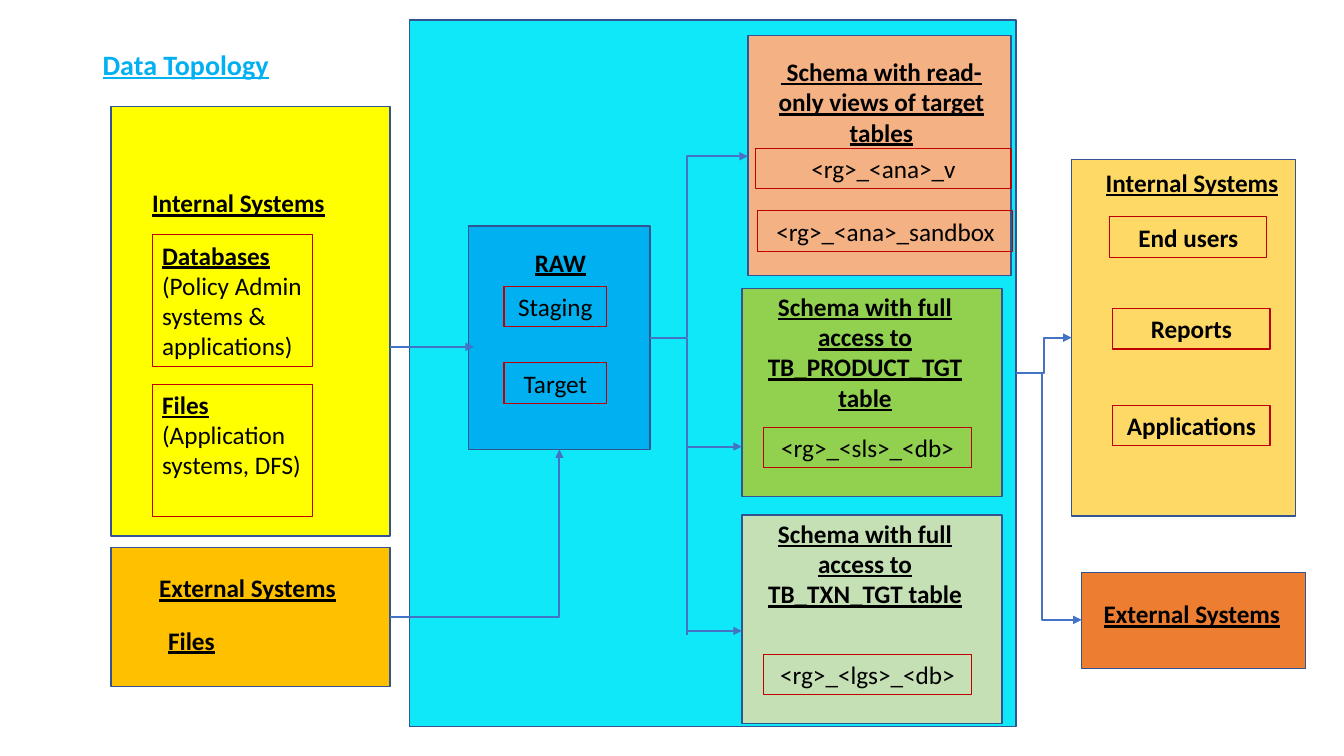
from lxml.etree import SubElement
from pptx import Presentation
from pptx.dml.color import RGBColor
from pptx.enum.shapes import MSO_CONNECTOR, MSO_SHAPE
from pptx.enum.text import MSO_ANCHOR, PP_ALIGN
from pptx.oxml.ns import qn
from pptx.util import Pt

YELLOW = RGBColor(0xFF, 0xFF, 0x00)
AMBER = RGBColor(0xFF, 0xC0, 0x00)
CYAN = RGBColor(0x0F, 0xE8, 0xF9)
BLUE = RGBColor(0x00, 0xB0, 0xF0)
PEACH = RGBColor(0xF4, 0xB1, 0x83)
GREEN = RGBColor(0x92, 0xD0, 0x50)
PALE_GREEN = RGBColor(0xC5, 0xE0, 0xB4)
GOLD = RGBColor(0xFF, 0xD9, 0x66)
ORANGE = RGBColor(0xED, 0x7D, 0x31)
NAVY = RGBColor(0x32, 0x54, 0x91)
RED = RGBColor(0xC0, 0x00, 0x00)
ARROW_BLUE = RGBColor(0x44, 0x72, 0xC4)
BLACK = RGBColor(0x00, 0x00, 0x00)

ROW_HEIGHT = 29
HEADING_WIDTH = 154


def add_text(paragraph, text, bold=False, underline=False, size=18, color=BLACK):
    """Add one formatted run to a paragraph."""
    run = paragraph.add_run()
    run.text = text
    run.font.name = "Calibri"
    run.font.size = Pt(size)
    run.font.bold = bold
    run.font.underline = underline
    run.font.color.rgb = color


def add_box(slide, left, top, width, height, fill=None, line=NAVY, weight=1):
    """Draw a rectangle, hollow when no fill is given."""
    shape = slide.shapes.add_shape(
        MSO_SHAPE.RECTANGLE, Pt(left), Pt(top), Pt(width), Pt(height))
    shape.shadow.inherit = False
    if fill is None:
        shape.fill.background()
    else:
        shape.fill.solid()
        shape.fill.fore_color.rgb = fill
    shape.line.color.rgb = line
    shape.line.width = Pt(weight)
    return shape


def add_tag(slide, left, top, width, text, bold=False):
    """Draw a red outlined label with one centred line."""
    shape = add_box(slide, left, top, width, ROW_HEIGHT, line=RED, weight=0.75)
    shape.text_frame.word_wrap = True
    paragraph = shape.text_frame.paragraphs[0]
    paragraph.alignment = PP_ALIGN.CENTER
    add_text(paragraph, text, bold)


def add_heading(slide, left, top, width, text, height=ROW_HEIGHT, align=PP_ALIGN.LEFT):
    """Write a bold underlined heading."""
    frame = slide.shapes.add_textbox(
        Pt(left), Pt(top), Pt(width), Pt(height)).text_frame
    frame.word_wrap = True
    paragraph = frame.paragraphs[0]
    paragraph.alignment = align
    add_text(paragraph, text, bold=True, underline=True)


def add_title(slide, left, top, width, height):
    """Write the slide title."""
    frame = slide.shapes.add_textbox(
        Pt(left), Pt(top), Pt(width), Pt(height)).text_frame
    frame.word_wrap = True
    frame.vertical_anchor = MSO_ANCHOR.MIDDLE
    paragraph = frame.paragraphs[0]
    paragraph.line_spacing = 0.9
    add_text(paragraph, "Data Topology", True, True, 20, BLUE)


def add_internal_sources(slide, left, top, width, height):
    """Draw the internal source systems with their two details."""
    add_box(slide, left, top, width, height, YELLOW)
    add_heading(slide, left + 22.3, top + 54, HEADING_WIDTH, "Internal Systems")
    details = [("Databases", "(Policy Admin systems & applications)"),
               ("Files", "(Application systems, DFS)")]
    for index, (name, note) in enumerate(details):
        shape = add_box(slide, left + 29.5, top + 91.5 + index * 106.5,
                        114.5, 94.3, line=RED, weight=0.75)
        frame = shape.text_frame
        frame.word_wrap = True
        frame.vertical_anchor = MSO_ANCHOR.TOP
        add_text(frame.paragraphs[0], name, bold=True, underline=True)
        add_text(frame.add_paragraph(), note)
        for paragraph in frame.paragraphs:
            paragraph.alignment = PP_ALIGN.LEFT


def add_external_sources(slide, left, top, width, height):
    """Draw the external source systems."""
    add_box(slide, left, top, width, height, AMBER)
    add_heading(slide, left + 27.4, top + 14.4, HEADING_WIDTH, "External Systems")
    add_heading(slide, left + 33.8, top + 51.8, 114.5, "Files")


def add_raw_area(slide, left, top, width, height):
    """Draw the raw area with its staging and target labels."""
    add_box(slide, left, top, width, height, BLUE)
    add_heading(slide, left + 25.2, top + 11.5, 80.6, "RAW", align=PP_ALIGN.CENTER)
    for index, text in enumerate(["Staging", "Target"]):
        add_tag(slide, left + 25.2, top + 43.2 + index * 54.7, 73.4, text)


def add_read_only_schema(slide, left, top, width, height):
    """Draw the schema that holds the read-only views."""
    add_box(slide, left, top, width, height, PEACH)
    add_heading(slide, left + 10.8, top + 11.5, 169.2,
                " Schema with read-only views of target tables",
                72.7, PP_ALIGN.CENTER)
    add_tag(slide, left + 5.8, top + 80.6, 182.2, "<rg>_<ana>_v")
    add_tag(slide, left + 7.2, top + 125.3, 182.2, "<rg>_<ana>_sandbox")


def add_full_schema(slide, left, top, width, height, fill, text, database):
    """Draw a full access schema with its database label."""
    add_box(slide, left, top, width, height, fill)
    add_heading(slide, left + 4.5, top - 1.4, 167, text, 94.3, PP_ALIGN.CENTER)
    add_tag(slide, left + 15.3, top + 99.4, 149, database)


def add_internal_consumers(slide, left, top, width, height):
    """Draw the internal systems that use the data."""
    add_box(slide, left, top, width, height, GOLD)
    add_heading(slide, left + 17.3, top + 2.2, HEADING_WIDTH, "Internal Systems")
    tags = [(27.3, 41, "End users"), (29.5, 106.5, "Reports"),
            (29.5, 175.6, "Applications")]
    for across, down, text in tags:
        add_tag(slide, left + across, top + down, 112.3, text, bold=True)


def add_external_consumers(slide, left, top, width, height):
    """Draw the external systems that use the data."""
    add_box(slide, left, top, width, height, ORANGE)
    add_heading(slide, left + 8.6, top + 15.1, HEADING_WIDTH, "External Systems")


def add_link(slide, start, end, preset="line", arrow="tailEnd"):
    """Connect two points, with an arrowhead at the named end if any."""
    kind = MSO_CONNECTOR.STRAIGHT if preset == "line" else MSO_CONNECTOR.ELBOW
    connector = slide.shapes.add_connector(kind, *map(Pt, start + end))
    connector.line.color.rgb = ARROW_BLUE
    connector.line.width = Pt(1.5)
    properties = connector._element.spPr
    properties.find(qn("a:prstGeom")).set("prst", preset)
    if arrow:
        SubElement(properties.find(qn("a:ln")), qn("a:" + arrow), type="triangle")
    SubElement(properties, qn("a:effectLst"))


def add_flow(slide):
    """Draw the links between the systems and the schemas."""
    add_link(slide, (278.6, 247.7), (338.4, 247.7))
    add_link(slide, (278.6, 440.6), (399.6, 321.1), "bentConnector2")
    add_link(slide, (464.4, 241.2), (491, 453.6), "bentConnector2", None)
    add_link(slide, (491, 319), (529.9, 319))
    add_link(slide, (491, 450.7), (529.9, 450.7))
    add_link(slide, (534.2, 111.6), (491, 240.5), "bentConnector2", "headEnd")
    add_link(slide, (725.8, 266.4), (765.4, 241.2), "bentConnector3")
    add_link(slide, (772.6, 442.8), (744.5, 266.4), "bentConnector2", "headEnd")


def main():
    """Build the data topology slide."""
    presentation = Presentation()
    presentation.slide_width = Pt(960)
    presentation.slide_height = Pt(540)
    slide = presentation.slides.add_slide(presentation.slide_layouts[6])
    add_title(slide, 66.2, 28.8, 828, 36.7)
    add_internal_sources(slide, 79.2, 76.3, 199.4, 306.7)
    add_external_sources(slide, 79.2, 391, 199.4, 99.4)
    add_box(slide, 292.3, 14.4, 433.4, 504.7, CYAN)
    add_raw_area(slide, 334.8, 161.3, 129.6, 159.8)
    add_read_only_schema(slide, 534.2, 25.2, 187.9, 171.4)
    add_full_schema(slide, 529.9, 205.9, 185.8, 149, GREEN,
                    "Schema with full access to TB_PRODUCT_TGT table",
                    "<rg>_<sls>_<db>")
    add_full_schema(slide, 529.9, 367.9, 185.8, 149, PALE_GREEN,
                    "Schema with full access to TB_TXN_TGT table",
                    "<rg>_<lgs>_<db>")
    add_internal_consumers(slide, 765.4, 113.8, 159.8, 254.9)
    add_external_consumers(slide, 772.6, 409, 159.8, 68.4)
    add_flow(slide)
    presentation.save("out.pptx")


if __name__ == "__main__":
    main()
